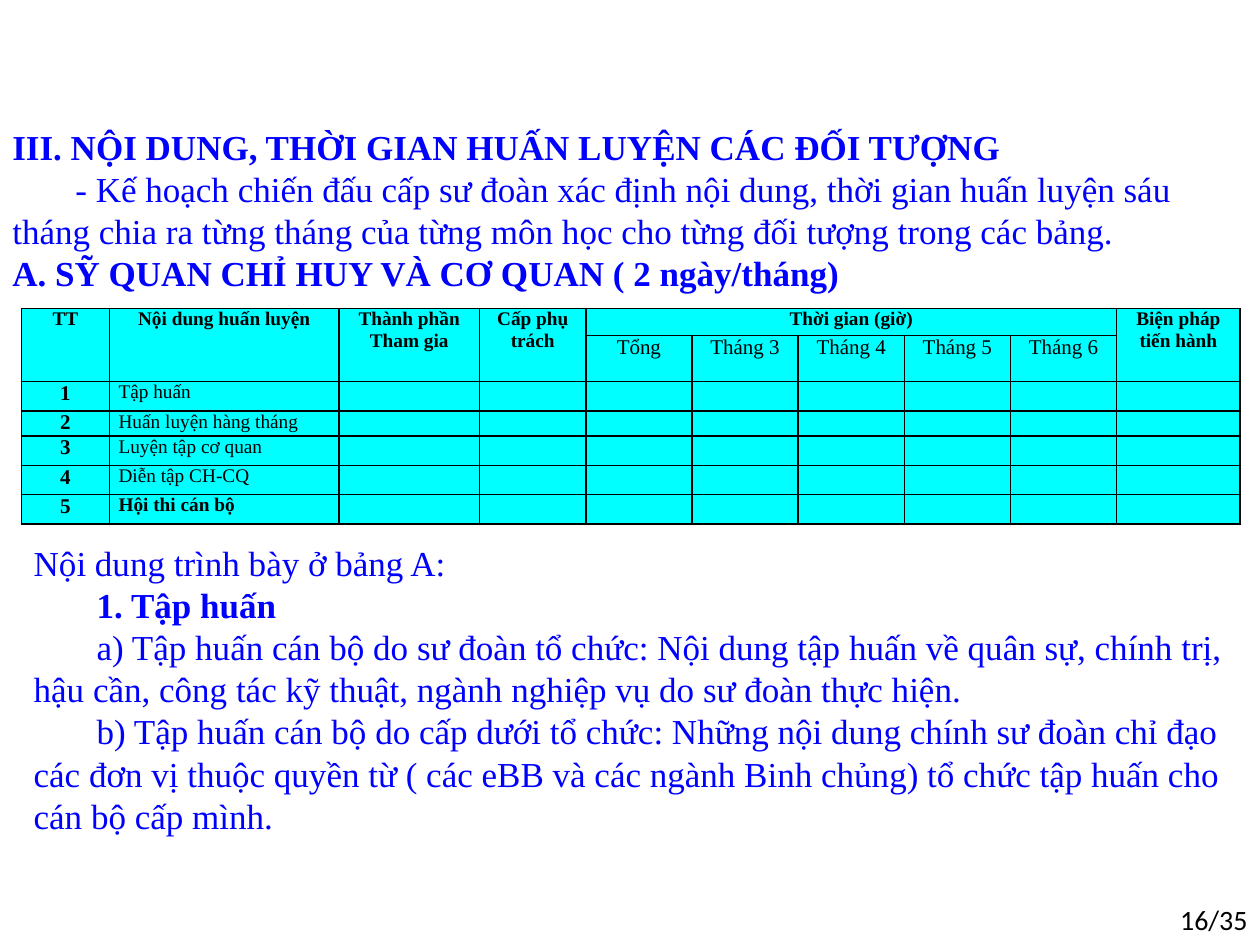
from lxml import etree
from pptx import Presentation
from pptx import util as u
from pptx.dml.color import RGBColor
from pptx.enum import text
from pptx.oxml.ns import qn

Cm, Pt = u.Cm, u.Pt
SERIF = "Times New Roman"
BLUE, BLACK, CYAN = "0000FF", "000000", "00FFFF"
LEFT, CENTER, RIGHT = text.PP_ALIGN.LEFT, text.PP_ALIGN.CENTER, text.PP_ALIGN.RIGHT

COLS = [1.78, 4.62, 2.84] + [2.14] * 6 + [2.49]
ROWS = [0.54, 0.92, 0.59, 0.51, 0.59, 0.59, 0.59]
HEADS = {0: "TT", 1: "Nội dung huấn luyện", 2: "Thành phần\nTham gia",
         3: "Cấp phụ trách", 9: "Biện pháp tiến hành"}
PERIODS = ["Tổng", "Tháng 3", "Tháng 4", "Tháng 5", "Tháng 6"]
TOPICS = ["Tập huấn", "Huấn luyện hàng tháng", "Luyện tập cơ quan",
          "Diễn tập CH-CQ", "Hội thi cán bộ"]

INTRO = [
    ("III. NỘI DUNG, THỜI GIAN HUẤN LUYỆN CÁC ĐỐI TƯỢNG", dict(bold=True)),
    ("- Kế hoạch chiến đấu cấp sư đoàn xác định nội dung, thời gian huấn luyện sáu "
     "tháng chia ra từng tháng của từng môn học cho từng đối tượng trong các bảng.",
     dict(indent=1.27)),
    ("A. SỸ QUAN CHỈ HUY VÀ CƠ QUAN ( 2 ngày/tháng)", dict(bold=True)),
]
DETAILS = [
    ("Nội dung trình bày ở bảng A:", {}),
    ("1. Tập huấn", dict(bold=True, indent=1.27)),
    ("a) Tập huấn cán bộ do sư đoàn tổ chức: Nội dung tập huấn về quân sự, chính trị, "
     "hậu cần, công tác kỹ thuật, ngành nghiệp vụ do sư đoàn thực hiện.", dict(indent=1.27)),
    ("b) Tập huấn cán bộ do cấp dưới tổ chức: Những nội dung chính sư đoàn chỉ đạo "
     "các đơn vị thuộc quyền từ ( các eBB và các ngành Binh chủng) tổ chức tập huấn cho "
     "cán bộ cấp mình.", dict(indent=1.27)),
]


def rgb(value):
    return RGBColor.from_string(value)


def write(p, words, size=20, color=BLUE, bold=False, font=SERIF, align=LEFT, indent=0):
    """Put one formatted run in a paragraph."""
    p.alignment = align
    if indent:
        pPr = p._p.get_or_add_pPr()
        pPr.set("marL", "0")
        pPr.set("indent", str(Cm(indent)))
    r = p.add_run()
    r.text = words
    r.font.size, r.font.bold, r.font.name = Pt(size), bold, font
    r.font.color.rgb = rgb(color)


def text_block(s, x, y, w, h, lines):
    tf = s.shapes.add_textbox(Cm(x), Cm(y), Cm(w), Cm(h)).text_frame
    tf.word_wrap = True
    for i, (words, fmt) in enumerate(lines):
        write(tf.add_paragraph() if i else tf.paragraphs[0], words, **fmt)


def style_cell(cell):
    """Cyan fill, thin margins, black borders, small size for empty cells."""
    cell.fill.solid()
    cell.fill.fore_color.rgb = rgb(CYAN)
    cell.margin_left = cell.margin_right = Cm(0.18)
    cell.margin_top = cell.margin_bottom = 0
    end = etree.SubElement(cell.text_frame.paragraphs[0]._p, qn("a:endParaRPr"))
    end.set("sz", "1100")
    tcPr = cell._tc.get_or_add_tcPr()
    for i, side in enumerate(("lnL", "lnR", "lnT", "lnB")):
        ln = etree.Element(qn("a:" + side), w=str(Pt(1)))
        fill = etree.SubElement(ln, qn("a:solidFill"))
        etree.SubElement(fill, qn("a:srgbClr"), val=BLACK)
        tcPr.insert(i, ln)


def fill_cell(cell, words, size=11, bold=False, align=CENTER):
    tf = cell.text_frame
    for i, line in enumerate(words.split("\n")):
        write(tf.add_paragraph() if i else tf.paragraphs[0], line,
              size=size, color=BLACK, bold=bold, align=align)


def training_table(s, x, y):
    tb = s.shapes.add_table(len(ROWS), len(COLS), Cm(x), Cm(y),
                            Cm(sum(COLS)), Cm(sum(ROWS))).table
    tb.first_row = tb.horz_banding = False
    for col, w in zip(tb.columns, COLS):
        col.width = Cm(w)
    for row, h in zip(tb.rows, ROWS):
        row.height = Cm(h)
        for cell in row.cells:
            style_cell(cell)

    # Two header rows
    for c, words in HEADS.items():
        tb.cell(0, c).merge(tb.cell(1, c))
        fill_cell(tb.cell(0, c), words, bold=True)
    tb.cell(0, 4).merge(tb.cell(0, 8))
    fill_cell(tb.cell(0, 4), "Thời gian (giờ)", bold=True)
    for c, words in enumerate(PERIODS, 4):
        fill_cell(tb.cell(1, c), words, size=12)

    # Numbered topics, the last one bold
    for n, words in enumerate(TOPICS, 1):
        fill_cell(tb.cell(n + 1, 0), str(n), size=12, bold=True)
        fill_cell(tb.cell(n + 1, 1), words, bold=n == len(TOPICS), align=LEFT)


def main():
    prs = Presentation()
    prs.slide_width, prs.slide_height = Cm(25.4), Cm(19.05)
    s = prs.slides.add_slide(prs.slide_layouts[6])
    # Page number
    text_block(s, 22.86, 18.06, 2.54, 1.02,
               [("16/35", dict(size=16, color=BLACK, font="Calibri", align=RIGHT))])
    text_block(s, 0, 2.41, 25.4, 3.68, INTRO)
    training_table(s, 0.43, 6.22)
    text_block(s, 0.43, 10.8, 24.97, 6.25, DETAILS)
    prs.save("out.pptx")


if __name__ == "__main__":
    main()
